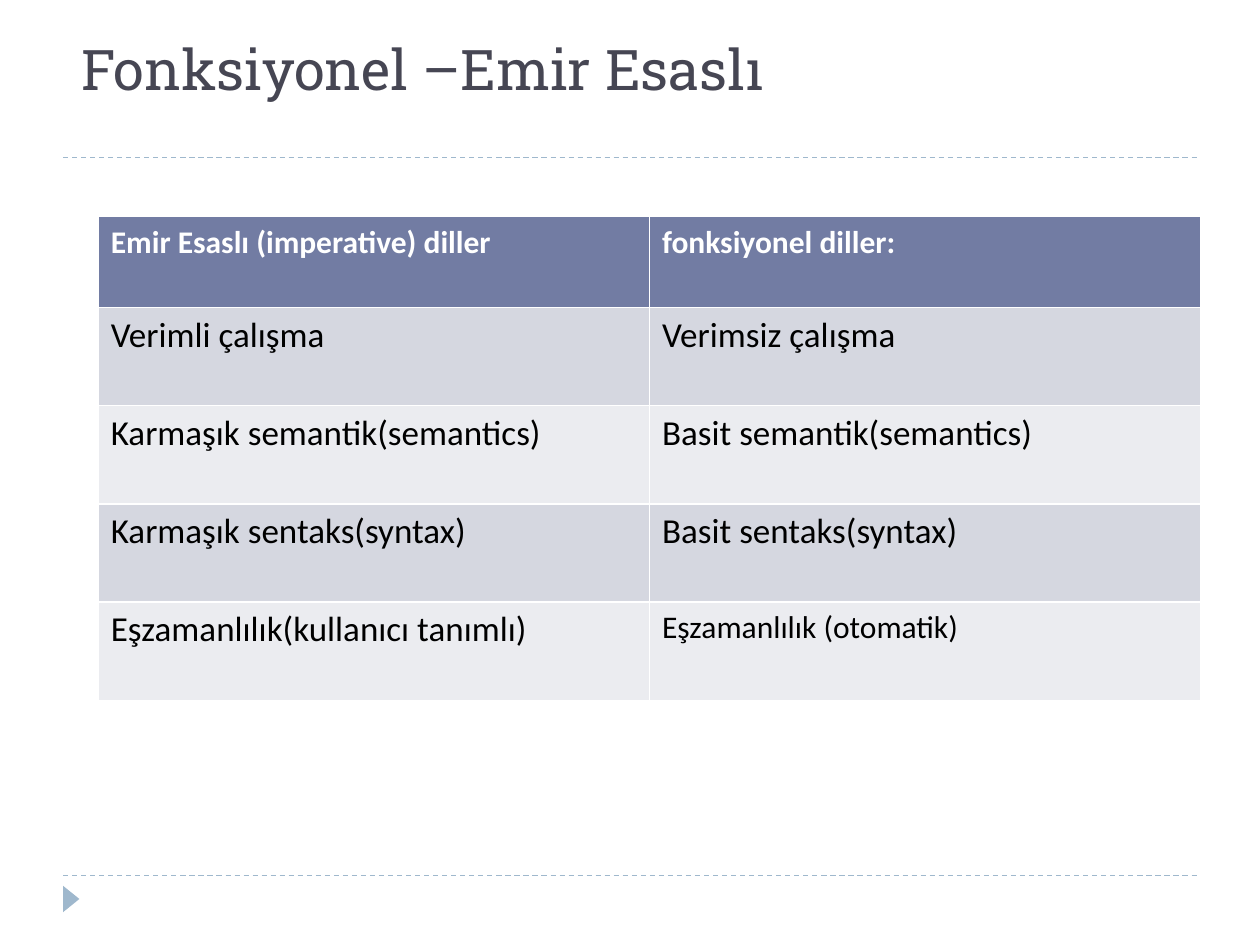
from lxml import etree
from pptx import Presentation
from pptx.dml.color import RGBColor
from pptx.enum import dml, shapes, text
from pptx.oxml.ns import qn
from pptx.util import Inches, Pt

WHITE = RGBColor(0xFF, 0xFF, 0xFF)
BLACK = RGBColor(0x00, 0x00, 0x00)
TITLE = RGBColor(0x46, 0x46, 0x53)
ACCENT = RGBColor(0x9F, 0xB8, 0xCD)
HEADER = RGBColor(0x72, 0x7C, 0xA3)
BANDS = [RGBColor(0xEB, 0xEC, 0xF0), RGBColor(0xD5, 0xD7, 0xE0)]

ROWS = [
    ("Emir Esaslı (imperative) diller", "fonksiyonel diller:"),
    ("Verimli çalışma", "Verimsiz çalışma"),
    ("Karmaşık semantik(semantics)", "Basit semantik(semantics)"),
    ("Karmaşık sentaks(syntax)", "Basit sentaks(syntax)"),
    ("Eşzamanlılık(kullanıcı tanımlı)", "Eşzamanlılık (otomatik)"),
]


def style_text(tf, font, size, color, bold=False):
    for r in tf.paragraphs[0].runs:
        r.font.name = font
        r.font.size = Pt(size)
        r.font.color.rgb = color
        r.font.bold = bold


prs = Presentation()
prs.slide_width, prs.slide_height = Inches(10), Inches(7.5)
s = prs.slides.add_slide(prs.slide_layouts[5])

# Dashed rules and corner marker
for y in (6.95, 1.25):
    rule = s.shapes.add_connector(
        shapes.MSO_CONNECTOR.STRAIGHT, Inches(0.5), Inches(y), Inches(9.5), Inches(y))
    rule.line.color.rgb = ACCENT
    rule.line.width = Pt(0.75)
    rule.line.dash_style = dml.MSO_LINE.DASH
    etree.SubElement(rule._element.spPr, qn("a:effectLst"))

marker = s.shapes.add_shape(
    shapes.MSO_SHAPE.ISOSCELES_TRIANGLE,
    Inches(0.46), Inches(7.07), Inches(0.21), Inches(0.13))
marker.rotation = 90
marker.shadow.inherit = False
marker.fill.solid()
marker.fill.fore_color.rgb = ACCENT
marker.line.fill.background()

# Title
title = s.shapes.title
title.left, title.top = Inches(0.55), Inches(0.17)
title.width, title.height = Inches(9.12), Inches(0.69)
tf = title.text_frame
tf.text = "Fonksiyonel –Emir Esaslı"
tf.auto_size = text.MSO_AUTO_SIZE.NONE
tf.vertical_anchor = text.MSO_ANCHOR.BOTTOM
tf.paragraphs[0].alignment = text.PP_ALIGN.LEFT
style_text(tf, "Roboto Slab", 32, TITLE)

# Comparison table; the default table style supplies the white borders
table = s.shapes.add_table(
    len(ROWS), 2, Inches(0.78), Inches(1.72), Inches(8.75), Inches(3.83)).table
for i, row in enumerate(ROWS):
    is_header = i == 0
    table.rows[i].height = Inches(0.72 if is_header else 0.78)
    for j, wording in enumerate(row):
        cell = table.cell(i, j)
        cell.text = wording
        cell.fill.solid()
        cell.fill.fore_color.rgb = HEADER if is_header else BANDS[i % 2]
        is_small = is_header or (i, j) == (len(ROWS) - 1, 1)
        style_text(cell.text_frame, "Calibri", 18 if is_small else 20,
                   WHITE if is_header else BLACK, is_header)

prs.save("out.pptx")
